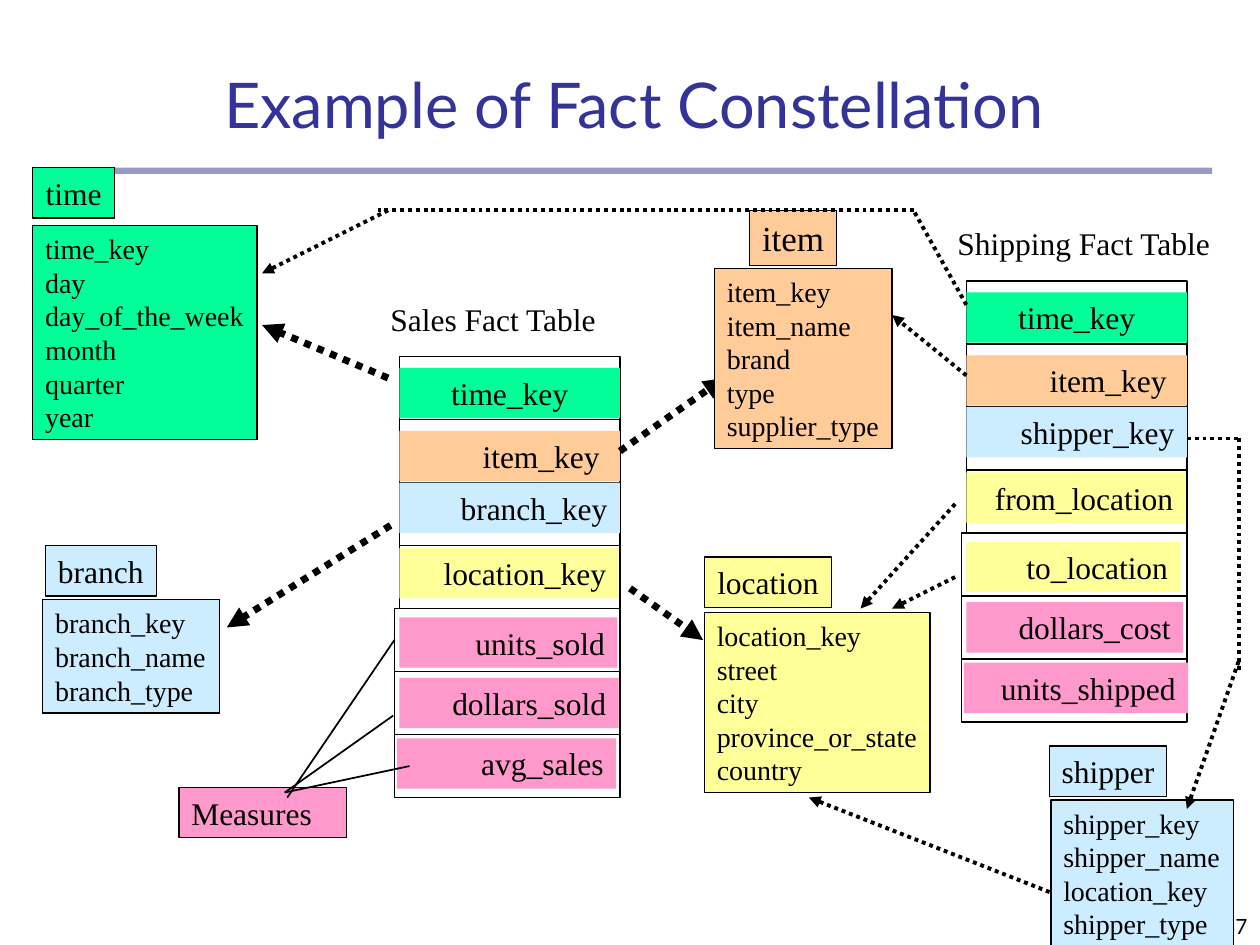
from dataclasses import dataclass

from lxml.etree import SubElement
from pptx import Presentation
from pptx.dml.color import RGBColor
from pptx.enum.dml import MSO_LINE
from pptx.enum.shapes import MSO_CONNECTOR, MSO_SHAPE
from pptx.enum.text import MSO_ANCHOR, PP_ALIGN
from pptx.oxml.ns import qn
from pptx.util import Inches, Pt


@dataclass(frozen=True)
class Theme:
    title_font: str = "Lato"
    body_font: str = "Times New Roman"
    ink: str = "000000"
    accent: str = "333399"
    time: str = "00FF99"
    item: str = "FFCC99"
    party: str = "CCECFF"
    place: str = "FFFF99"
    measure: str = "FF99CC"
    title_size: float = 36
    item_size: float = 20
    label_size: float = 18
    field_size: float = 16
    number_size: float = 12
    border: float = 0.75
    thin: float = 1
    dotted: float = 2.25
    bold_dotted: float = 4


THEME = Theme()
FRAME_PITCH = 0.5
CHIP_TOPS = (0.09, 0.59, 1, 1.52, 2.07, 2.55, 3.03)


def color(value):
    return RGBColor.from_string(value)


def write(target, lines, size, align=PP_ALIGN.LEFT, wrap=False,
          anchor=MSO_ANCHOR.TOP, font=THEME.body_font, ink=THEME.ink):
    frame = target.text_frame
    frame.word_wrap = wrap
    frame.vertical_anchor = anchor
    for index, line in enumerate(lines):
        paragraph = frame.add_paragraph() if index else frame.paragraphs[0]
        paragraph.alignment = align
        run = paragraph.add_run()
        run.text = line
        run.font.name = font
        run.font.size = Pt(size)
        run.font.color.rgb = color(ink)


def add_text(shapes, box, text, size, **style):
    label = shapes.add_textbox(*map(Inches, box))
    write(label, [text], size, **style)


def add_box(shapes, box, fill=None, border=None):
    rect = shapes.add_shape(MSO_SHAPE.RECTANGLE, *map(Inches, box))
    rect.shadow.inherit = False
    if fill:
        rect.fill.solid()
        rect.fill.fore_color.rgb = color(fill)
    else:
        rect.fill.background()
    if border:
        rect.line.color.rgb = color(THEME.ink)
        rect.line.width = Pt(border)
    else:
        rect.line.fill.background()
    return rect


def add_link(shapes, start, end, width, dotted=True, arrow=True,
             begin_at=None, end_at=None):
    link = shapes.add_connector(MSO_CONNECTOR.STRAIGHT, *map(Inches, start + end))
    link.line.color.rgb = color(THEME.ink)
    link.line.width = Pt(width)
    if dotted:
        link.line.dash_style = MSO_LINE.ROUND_DOT
    if arrow:
        SubElement(link.line._get_or_add_ln(), qn("a:tailEnd"), type="triangle")
    SubElement(link._element.spPr, qn("a:effectLst"))
    if begin_at:
        link.begin_connect(*begin_at)
    if end_at:
        link.end_connect(*end_at)


def add_header(shapes, box):
    left, top, width, height = box
    rule = add_box(shapes, (left, top + height - 0.05, width, 0.05), THEME.accent)
    fill_color = rule.fill._xPr.find(qn("a:solidFill"))[0]
    SubElement(fill_color, qn("a:alpha"), val="50000")
    add_text(shapes, (left + 0.8, top, 7.62, 0.75), "Example of Fact Constellation",
             THEME.title_size, align=PP_ALIGN.CENTER, anchor=MSO_ANCHOR.BOTTOM,
             wrap=True, font=THEME.title_font, ink=THEME.accent)


def add_page_number(shapes, box):
    add_text(shapes, box, "37", THEME.number_size, align=PP_ALIGN.RIGHT,
             anchor=MSO_ANCHOR.BOTTOM, wrap=True, font=THEME.title_font)


def add_dimension(shapes, box, name, fields, fill, tab, size=THEME.label_size):
    left, top, _, _ = box
    tab_shift, tab_rise, tab_width, tab_height = tab
    group = shapes.add_group_shape().shapes
    body = add_box(group, box, fill, THEME.border)
    write(body, fields, THEME.field_size)
    heading = add_box(group, (left + tab_shift, top - tab_rise, tab_width, tab_height),
                      fill, THEME.border)
    write(heading, [name], size, align=PP_ALIGN.CENTER)


def add_fact_table(shapes, box, name, name_width, rows):
    left, top, width, height = box
    add_text(shapes, (left - 0.17, top - 0.5, name_width, 0.4), name, THEME.label_size)
    frames = []
    for index, ((label, fill, chip_width), chip_top) in enumerate(zip(rows, CHIP_TOPS)):
        overhang = 0.04 if index > 3 else 0
        frames.append(add_box(
            shapes,
            (left - overhang, top + index * FRAME_PITCH, width + overhang, height / len(rows)),
            border=THEME.thin))
        chip = add_box(shapes, (left - (0.02 if index == 6 else 0), top + chip_top, chip_width, 0.4), fill)
        write(chip, [label], THEME.label_size, wrap=True,
              align=PP_ALIGN.RIGHT if index else PP_ALIGN.CENTER)
        if index == 1:
            chip.text_frame.margin_right = Inches(0.16)
    return frames


def add_measures(shapes, box, frames):
    left, top, _, _ = box
    tag = add_box(shapes, box, THEME.measure, THEME.border)
    write(tag, ["Measures"], THEME.label_size, wrap=True)
    hub = (left + 0.84, top + 0.04)
    for start, end, joined in (
        ((left + 0.86, top + 0.08), (3.12, 5.08), (frames[4], 1)),
        (hub, (3.12, 5.68), None),
        (hub, (3.25, 6.08), None),
    ):
        add_link(shapes, start, end, THEME.thin, dotted=False, arrow=False, end_at=joined)


def add_sales_links(shapes, frames):
    for start, end, joined in (
        ((3.1, 4.17), (1.8, 4.98), None),
        ((3.08, 3), (2.08, 2.58), None),
        ((5, 4.67), (5.58, 5.08), None),
        ((4.92, 3.57), (5.75, 3), (frames[1], 3)),
    ):
        add_link(shapes, start, end, THEME.bold_dotted, begin_at=joined)


def add_shipping_links(shapes, frames):
    for start, end, arrow, joined in (
        ((7.67, 2.42), (7.25, 1.67), False, None),
        ((7.25, 1.67), (3, 1.67), False, None),
        ((3.08, 1.67), (2.08, 2.17), True, None),
        ((7.67, 3), (7.08, 2.5), True, (frames[1], 1)),
        ((7.58, 4), (6.83, 4.83), True, None),
        ((7.58, 4.58), (7.08, 4.83), True, None),
        ((9.83, 3.48), (9.83, 5.33), False, None),
        ((9.83, 5.25), (9.42, 6.42), True, None),
        ((9.42, 3.48), (9.83, 3.48), False, (frames[2], 3)),
        ((8.33, 7.08), (6.42, 6.33), True, None),
    ):
        add_link(shapes, start, end, THEME.dotted, arrow=arrow, begin_at=joined)


def add_constellation(shapes):
    add_dimension(shapes, (0.26, 1.79, 1.78, 1.7), "time",
                  ["time_key", "day", "day_of_the_week", "month", "quarter", "year"],
                  THEME.time, (0, 0.46, 0.65, 0.4))
    add_dimension(shapes, (5.59, 4.86, 1.79, 1.43), "location",
                  ["location_key", "street", "city", "province_or_state", "country"],
                  THEME.place, (0, 0.44, 1.01, 0.4))
    shared_keys = [("time_key", THEME.time, 1.75), ("item_key", THEME.item, 1.75)]
    sales = add_fact_table(shapes, (3.17, 2.83, 1.75, 3.5), "Sales Fact Table", 1.85, shared_keys + [
        ("branch_key", THEME.party, 1.75), ("location_key", THEME.place, 1.74),
        ("units_sold", THEME.measure, 1.73), ("dollars_sold", THEME.measure, 1.74),
        ("avg_sales", THEME.measure, 1.74)])
    add_measures(shapes, (1.42, 6.25, 1.33, 0.4), sales)
    add_sales_links(shapes, sales)
    add_dimension(shapes, (5.67, 2.13, 1.41, 1.43), "item",
                  ["item_key", "item_name", "brand", "type", "supplier_type"],
                  THEME.item, (0.28, 0.46, 0.69, 0.44), THEME.item_size)
    add_dimension(shapes, (0.34, 4.76, 1.4, 0.9), "branch",
                  ["branch_key", "branch_name", "branch_type"],
                  THEME.party, (0.02, 0.43, 0.88, 0.4))
    shipping = add_fact_table(shapes, (7.67, 2.23, 1.75, 3.5), "Shipping Fact Table", 2.25, shared_keys + [
        ("shipper_key", THEME.party, 1.75), ("from_location", THEME.place, 1.74),
        ("to_location", THEME.place, 1.7), ("dollars_cost", THEME.measure, 1.72),
        ("units_shipped", THEME.measure, 1.78)])
    add_dimension(shapes, (8.34, 6.35, 1.45, 1.17), "shipper",
                  ["shipper_key", "shipper_name", "location_key", "shipper_type"],
                  THEME.party, (-0.01, 0.43, 0.93, 0.4))
    add_shipping_links(shapes, shipping)


def main():
    presentation = Presentation()
    presentation.slide_width, presentation.slide_height = Inches(10), Inches(7.5)
    shapes = presentation.slides.add_slide(presentation.slide_layouts[6]).shapes
    add_header(shapes, (0.42, 0.42, 9.2, 0.96))
    add_page_number(shapes, (7.92, 7, 2.08, 0.5))
    add_constellation(shapes)
    presentation.save("out.pptx")


if __name__ == "__main__":
    main()
